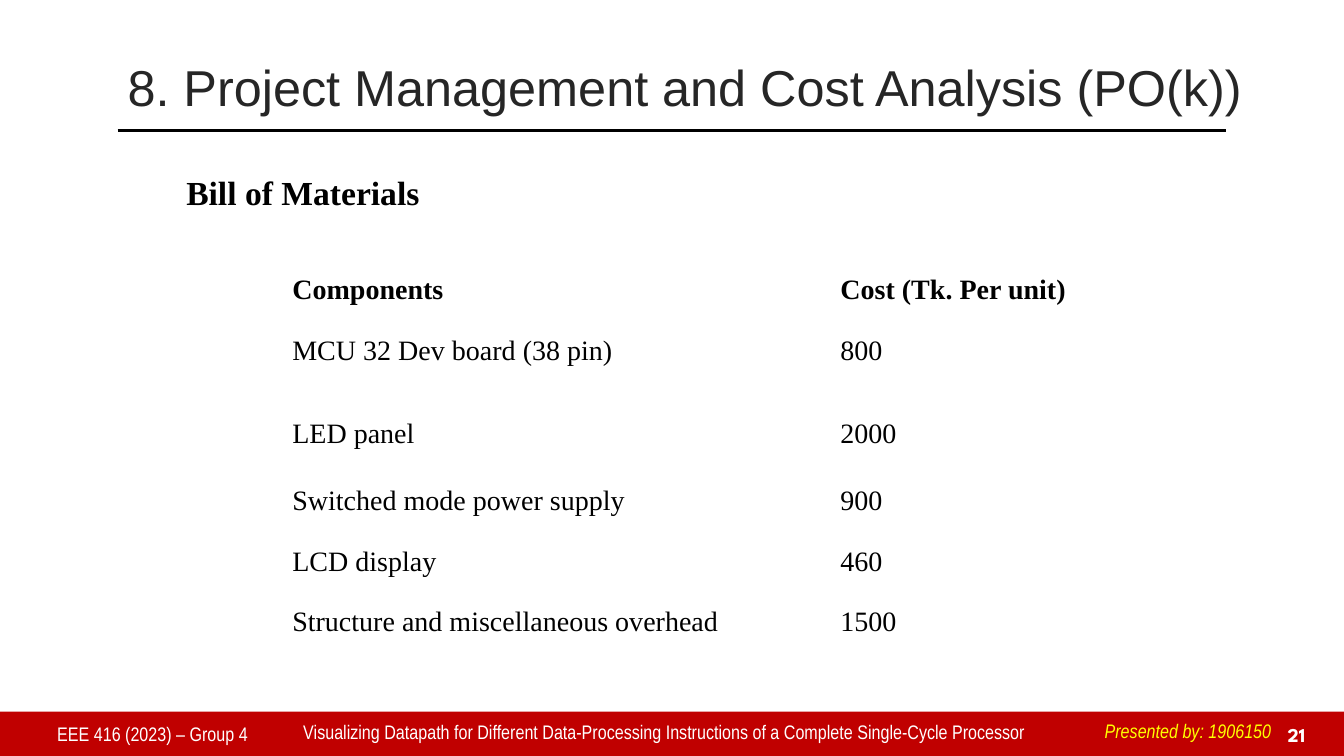
from lxml import etree
from pptx import Presentation
from pptx import util as u
from pptx.dml import color
from pptx.enum import shapes, text
from pptx.oxml import ns

Pt = u.Pt
TINT = {"red": "C00000", "ink": "262626", "black": "000000",
        "white": "FFFFFF", "yellow": "FFFF00"}
SANS, SLIM, SERIF, BOLD = "Arial", "Arial Narrow", "Times New Roman", "League Spartan"
ANCHOR, ALIGN, FIT = text.MSO_ANCHOR, text.PP_ALIGN, text.MSO_AUTO_SIZE


class Deck:
    """Holds the style and the current slide, and draws each kind of element."""

    def __init__(self, wide, high):
        self.show = Presentation()
        self.show.slide_width, self.show.slide_height = Pt(wide), Pt(high)
        self.slide = self.show.slides.add_slide(self.show.slide_layouts[6])

    def tint(self, name):
        return color.RGBColor.from_string(TINT[name])

    def run(self, para, words, size, face, hue="black", bold=False, slant=False):
        run = para.add_run()
        run.text = words
        font = run.font
        font.size, font.name, font.bold, font.italic = Pt(size), face, bold, slant
        font.color.rgb = self.tint(hue)

    def bar(self, x, y, w, h, hue):
        bar = self.slide.shapes.add_shape(
            shapes.MSO_SHAPE.RECTANGLE, Pt(x), Pt(y), Pt(w), Pt(h))
        bar.shadow.inherit = False
        bar.fill.solid()
        bar.fill.fore_color.rgb = self.tint(hue)
        bar.line.fill.background()

    def rule(self, x, y, end, hue, width):
        rule = self.slide.shapes.add_connector(
            shapes.MSO_CONNECTOR.STRAIGHT, Pt(x), Pt(y), Pt(end), Pt(y))
        rule.line.color.rgb = self.tint(hue)
        rule.line.width = Pt(width)
        etree.SubElement(rule._element.spPr, ns.qn("a:effectLst"))

    def label(self, x, y, w, h, words, size, face, hue="black", bold=False,
              slant=False, anchor=ANCHOR.TOP, align=ALIGN.LEFT, space=1, wrap=True):
        box = self.slide.shapes.add_textbox(Pt(x), Pt(y), Pt(w), Pt(h))
        frame = box.text_frame
        frame.word_wrap = wrap
        frame.auto_size = FIT.NONE if wrap else FIT.SHAPE_TO_FIT_TEXT
        frame.vertical_anchor = anchor
        para = frame.paragraphs[0]
        para.alignment, para.line_spacing = align, space
        self.run(para, words, size, face, hue, bold, slant)

    def table(self, x, y, cols, rows, data, gap):
        grid = self.slide.shapes.add_table(
            len(rows), len(cols), Pt(x), Pt(y), Pt(sum(cols)), Pt(sum(rows))).table
        grid.first_row = grid.horz_banding = False
        for col, w in zip(grid.columns, cols):
            col.width = Pt(w)
        for row, h, line in zip(grid.rows, rows, data):
            row.height = Pt(h)
            for cell, parts in zip(row.cells, line):
                cell.fill.background()
                cell.vertical_anchor = ANCHOR.MIDDLE
                frame = cell.text_frame
                for i, words in enumerate(parts):
                    para = frame.add_paragraph() if i else frame.paragraphs[0]
                    if i:
                        para.space_before = Pt(gap)
                    self.run(para, words, 20, SERIF, bold=i < len(parts) - 1)


def main():
    deck = Deck(960, 540)
    deck.bar(0, 508.3, 960, 32, "red")
    deck.label(84, 36, 826.5, 57.6, "8. Project Management and Cost Analysis (PO(k))",
               36, SANS, "ink", anchor=ANCHOR.MIDDLE, space=0.9)
    deck.label(126, 117.4, 750, 40, "Bill of Materials", 24, SERIF, bold=True, space=1.07)
    deck.label(898.5, 512, 41, 24.5, "21", 14, BOLD, "white", bold=True,
               anchor=ANCHOR.BOTTOM, align=ALIGN.RIGHT)
    deck.label(33.8, 512, 155.5, 29.5, "EEE 416 (2023) – Group 4", 14, SLIM, "white")
    deck.label(209.5, 510.5, 541.5, 29.5,
               "Visualizing Datapath for Different Data-Processing Instructions "
               "of a Complete Single-Cycle Processor", 14, SLIM, "white")
    deck.label(782, 509.8, 134.6, 24.5, "Presented by: 1906150", 14, SLIM, "yellow",
               slant=True, wrap=False)
    deck.rule(84, 93.3, 876, "black", 2.25)
    deck.table(201.6, 172, [391.5, 217.5], [113.8, 48.2, 48.2, 38.2, 47.5], [
        [["Components", "MCU 32 Dev board (38 pin)"], ["Cost (Tk. Per unit)", "800"]],
        [["LED panel"], ["2000"]],
        [["Switched mode power supply"], ["900"]],
        [["LCD display"], ["460"]],
        [["Structure and miscellaneous overhead"], ["1500"]],
    ], 21.5)
    deck.show.save("out.pptx")


if __name__ == "__main__":
    main()
